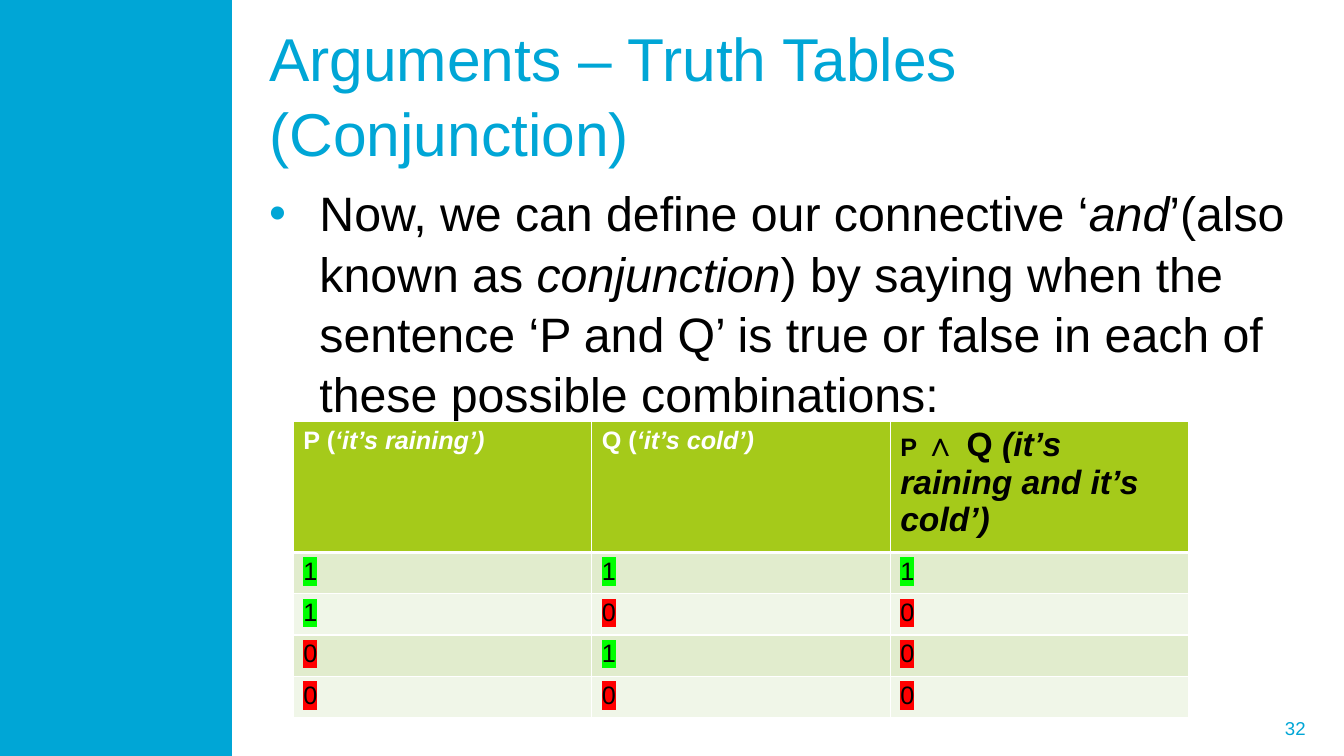
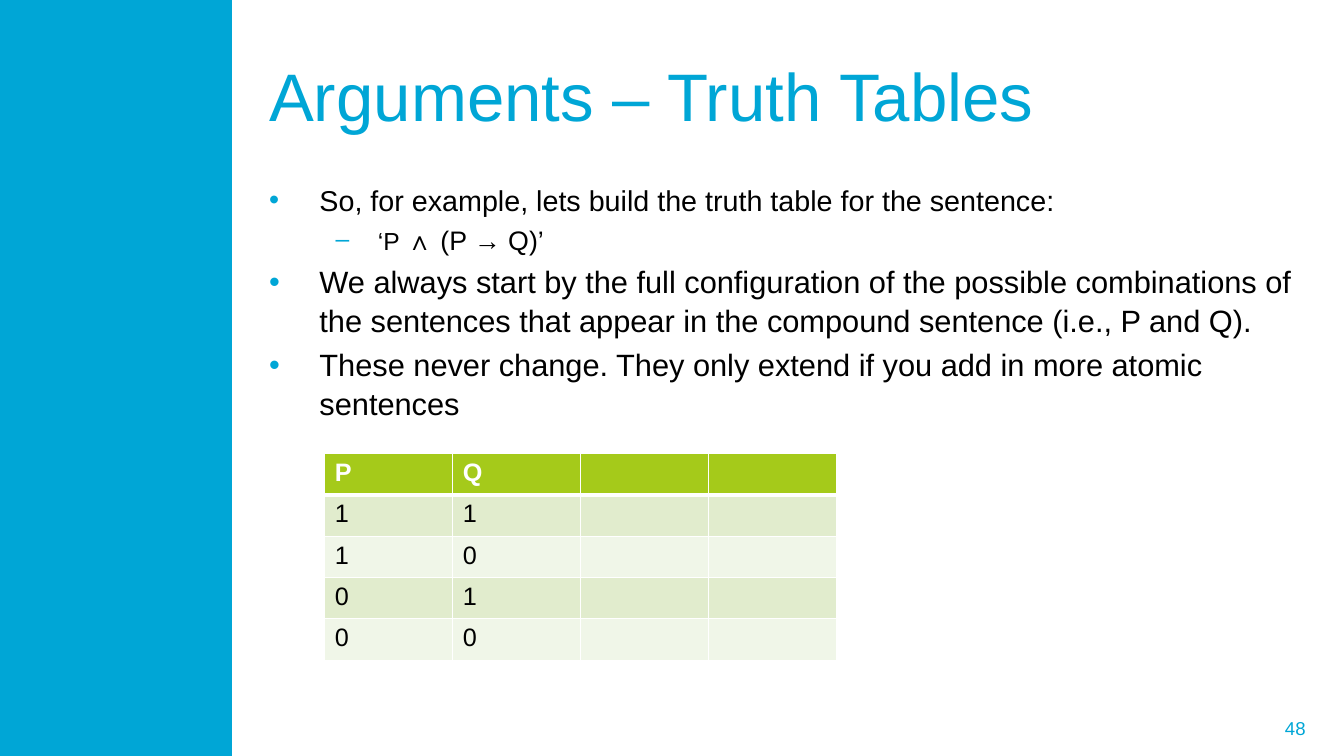
from dataclasses import dataclass

from lxml import etree
from pptx import Presentation
from pptx.dml.color import RGBColor
from pptx.enum import shapes, text
from pptx.oxml.ns import qn
from pptx.util import Inches, Pt


@dataclass(frozen=True)
class Theme:
    font: str = "Arial"
    blue: str = "00A6D6"
    black: str = "000000"
    white: str = "FFFFFF"
    header: str = "A5CA1A"
    bands: tuple = ("E1ECCD", "F0F6E8")
    true: str = "00FF00"
    false: str = "FF0000"
    title_size: float = 48
    number_size: float = 13.3
    table_size: float = 18
    leading: float = 1.04


T = Theme()
BAND_BOX = (0, 0, 2.3, 7.5)
TITLE_BOX = (2.57, 0.3, 10.36, 1.25)
BODY_BOX = (2.57, 1.75, 10.49, 2.55)
NUMBER_BOX = (9.7, 7.02, 3.38, 0.4)
ROW_HEIGHT = 0.41
# Bullet character, left margin and hanging indent for each level
LEVELS = (("•", 0.5, -0.5), ("–", 1.08, -0.42))
TRUTH_ROWS = ("11", "10", "01", "00")


def inches(box):
    return [Inches(v) for v in box]


def add_color(parent, tag, color):
    el = etree.SubElement(parent, qn(tag))
    etree.SubElement(el, qn("a:srgbClr")).set("val", color)
    return el


def add_run(p, content, size, color=T.black, bold=False, italic=False, highlight=None):
    r = p.add_run()
    r.text = content
    f = r.font
    f.size, f.bold, f.italic = Pt(size), bold, italic
    f.color.rgb = RGBColor.from_string(color)
    if highlight:
        add_color(r._r.get_or_add_rPr(), "a:highlight", highlight)
    f.name = T.font


def set_bullet(p, level):
    char, margin, indent = LEVELS[level]
    p.level = level
    pPr = p._p.get_or_add_pPr()
    pPr.set("marL", str(Inches(margin)))
    pPr.set("indent", str(Inches(indent)))
    add_color(pPr, "a:buClr", T.blue)
    etree.SubElement(pPr, qn("a:buFont")).set("typeface", T.font)
    etree.SubElement(pPr, qn("a:buChar")).set("char", char)


def add_band(s, box):
    sp = s.shapes.add_shape(shapes.MSO_SHAPE.RECTANGLE, *inches(box))
    sp.shadow.inherit = False
    sp.fill.solid()
    sp.fill.fore_color.rgb = RGBColor.from_string(T.blue)
    sp.line.fill.background()


def add_number(s, box, number):
    tf = s.shapes.add_textbox(*inches(box)).text_frame
    tf.word_wrap = True
    tf.vertical_anchor = text.MSO_ANCHOR.MIDDLE
    tf.margin_left = tf.margin_right = Inches(0.13)
    tf.margin_top = tf.margin_bottom = Inches(0.07)
    p = tf.paragraphs[0]
    p.alignment = text.PP_ALIGN.RIGHT
    add_run(p, str(number), T.number_size, color=T.blue)


def set_title(s, box, title, size):
    sp = s.shapes.title
    sp.left, sp.top, sp.width, sp.height = inches(box)
    tf = sp.text_frame
    tf.auto_size = text.MSO_AUTO_SIZE.NONE
    tf.vertical_anchor = text.MSO_ANCHOR.MIDDLE
    p = tf.paragraphs[0]
    p.alignment = text.PP_ALIGN.LEFT
    p.line_spacing = T.leading
    add_run(p, title, size, color=T.blue)


def add_bullets(s, box, items):
    """Each item is a level and a list of (text, size, italic) runs."""
    tf = s.shapes.add_textbox(*inches(box)).text_frame
    tf.word_wrap = True
    for i, (level, runs) in enumerate(items):
        p = tf.add_paragraph() if i else tf.paragraphs[0]
        set_bullet(p, level)
        p.line_spacing = T.leading
        if i:
            p.space_before = Pt(round(0.2 * runs[0][1], 1))
        for content, size, italic in runs:
            add_run(p, content, size, italic=italic)


def set_cell(cell, fill, top=1, bottom=1):
    cell.fill.solid()
    cell.fill.fore_color.rgb = RGBColor.from_string(fill)
    tcPr = cell._tc.get_or_add_tcPr()
    for i, (side, width) in enumerate(zip("LRTB", (1, 1, top, bottom))):
        ln = etree.Element(qn(f"a:ln{side}"), w=str(Pt(width)))
        add_color(ln, "a:solidFill", T.white)
        tcPr.insert(i, ln)


def add_truth_table(s, left, top, col_width, headers, values, header_height=ROW_HEIGHT,
                    marked=False):
    """Headers are lists of (text, format) runs; each row of values is a string of digits."""
    heights = [header_height] + [ROW_HEIGHT] * len(values)
    n = len(headers)
    table = s.shapes.add_table(len(heights), n,
                               *inches((left, top, col_width * n, sum(heights)))).table
    for col in table.columns:
        col.width = Inches(col_width)
    for row, height in zip(table.rows, heights):
        row.height = Inches(height)
    for c, runs in enumerate(headers):
        cell = table.cell(0, c)
        set_cell(cell, T.header, bottom=3)
        for content, style in runs:
            add_run(cell.text_frame.paragraphs[0], content,
                    **{"size": T.table_size, "color": T.white, "bold": True, **style})
    for r, digits in enumerate(values):
        for c in range(n):
            cell = table.cell(r + 1, c)
            set_cell(cell, T.bands[r % 2], top=1 if r else 3)
            if c < len(digits):
                mark = (T.true if digits[c] == "1" else T.false) if marked else None
                add_run(cell.text_frame.paragraphs[0], digits[c], T.table_size, highlight=mark)


def add_base(prs, title, number, title_size=T.title_size):
    s = prs.slides.add_slide(prs.slide_layouts[5])
    add_band(s, BAND_BOX)
    add_number(s, NUMBER_BOX, number)
    set_title(s, TITLE_BOX, title, title_size)
    return s


def conjunction_slide(prs):
    s = add_base(prs, "Arguments – Truth Tables (Conjunction)", 32, title_size=43.2)
    size = 34.5
    add_bullets(s, BODY_BOX, [(0, [
        ("Now, we can define our connective ‘", size, False),
        ("and", size, True),
        ("’(also known as ", size, False),
        ("conjunction", size, True),
        (") by saying when the sentence ‘P and Q’ is true or false in each of "
         "these possible combinations:", size, False),
    ])])
    italic, dark = {"italic": True}, {"color": T.black}
    large = {**dark, "size": 24}
    headers = [
        [("P (", {}), ("‘it’s raining’)", italic)],
        [("Q (", {}), ("‘it’s cold’)", italic)],
        [("P ", dark), ("∧ Q ", large),
         ("(it’s raining and it’s cold’)", {**large, **italic})],
    ]
    values = [pq + str(min(int(d) for d in pq)) for pq in TRUTH_ROWS]
    add_truth_table(s, 2.91, 4.18, 2.96, headers, values, header_height=1.2, marked=True)


def compound_slide(prs):
    s = add_base(prs, "Arguments – Truth Tables", 48)
    add_bullets(s, BODY_BOX, [
        (0, [("So, for example, lets build the truth table for the sentence:", 20.5, False)]),
        (1, [("‘P ", 17.6, False), ("∧ (P → Q)’", 19.1, False)]),
        (0, [("We always start by the full configuration of the possible combinations of "
              "the sentences that appear in the compound sentence (i.e., P and Q).",
              22, False)]),
        (0, [("These never change. They only extend if you add in more atomic sentences",
              22, False)]),
    ])
    add_truth_table(s, 3.22, 4.5, 1.27, [[("P", {})], [("Q", {})], [], []], TRUTH_ROWS)


def main():
    prs = Presentation()
    prs.slide_width, prs.slide_height = Inches(13.33), Inches(7.5)
    conjunction_slide(prs)
    compound_slide(prs)
    prs.save("out.pptx")


if __name__ == "__main__":
    main()
